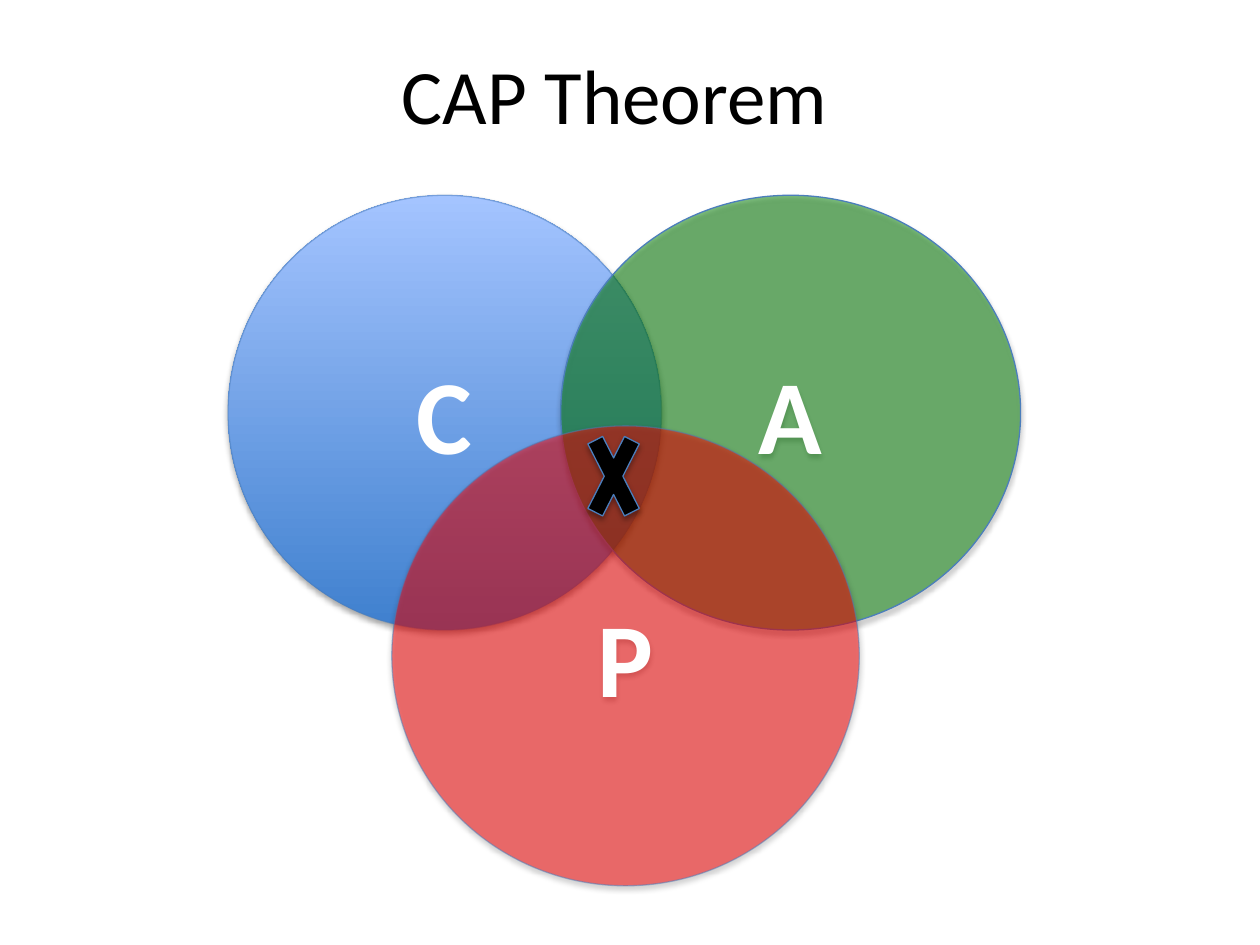
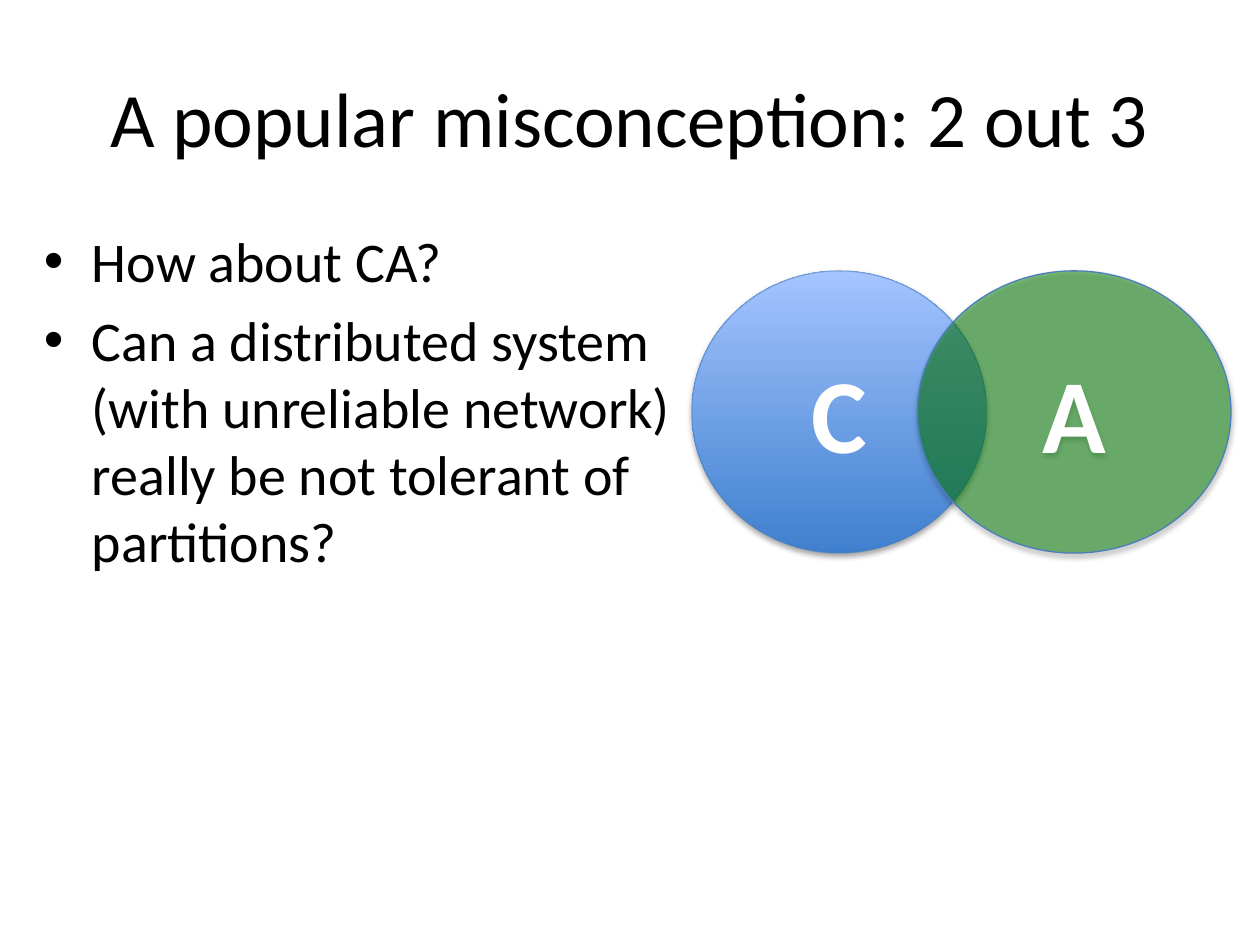
from lxml.etree import SubElement
from pptx import Presentation
from pptx.dml.color import RGBColor
from pptx.enum.shapes import MSO_SHAPE
from pptx.enum.text import MSO_ANCHOR, PP_ALIGN
from pptx.oxml.ns import qn
from pptx.util import Inches, Pt

FONT = "Calibri"
BLACK, WHITE, EDGE = "000000", "FFFFFF", "4B7EBC"
BLUES = ("3F80CE", "A4C4FF")

KINDS = {
    "C": {"fill": BLUES, "edge": 50},
    "A": {"fill": "008000", "alpha": 50},
    "P": {"fill": "FF0000", "alpha": 50, "edge": 50},
}

SLIDES = [
    {
        "title": "CAP Theorem",
        "spot": (0.38, 0.12),
        "rings": {
            "C": (1.81, 1.55, 3.44, 3.45),
            "A": (4.45, 1.55, 3.65, 3.45),
            "P": (3.11, 3.38, 3.71, 3.65),
        },
        "cross": (4.59, 3.23, 0.56, 1.1),
    },
    {
        "title": "A popular misconception: 2 out 3",
        "spot": (0.5, 0.3),
        "points": [
            "How about CA?",
            "Can a distributed system (with unreliable network) "
            "really be not tolerant of partitions?",
        ],
        "rings": {
            "C": (5.49, 2.15, 2.34, 2.24),
            "A": (7.28, 2.15, 2.49, 2.24),
        },
    },
]


def color(code):
    return RGBColor.from_string(code)


def place(box):
    return [Inches(n) for n in box]


def fade(node, share):
    tint = next(node.iter(qn("a:srgbClr")))
    SubElement(tint, qn("a:alpha"), val=str(share * 1000))


def style(para, size, code, bold=False):
    font = para.font
    font.name, font.size, font.bold = FONT, Pt(size), bold
    font.color.rgb = color(code)


def write(slide, box, lines, size):
    frame = slide.shapes.add_textbox(*place(box)).text_frame
    frame.word_wrap = True
    frame.text = "\n".join(lines)
    for para in frame.paragraphs:
        style(para, size, BLACK)
    return frame


def add_title(slide, text, spot):
    frame = write(slide, (*spot, 9, 1.25), [text], 44)
    frame.vertical_anchor = MSO_ANCHOR.MIDDLE
    frame.paragraphs[0].alignment = PP_ALIGN.CENTER


def add_points(slide, lines):
    frame = write(slide, (0.25, 1.75, 6.01, 4.95), lines, 32)
    for para in frame.paragraphs:
        para.space_before = Pt(6.4)
        props = para._p.get_or_add_pPr()
        props.set("marL", str(Inches(0.38)))
        props.set("indent", str(-Inches(0.38)))
        bullet = props.makeelement(qn("a:buFont"), {"typeface": "Arial"})
        spacing = props.find(qn("a:spcBef"))
        spacing.addnext(bullet)
        bullet.addnext(props.makeelement(qn("a:buChar"), {"char": "•"}))


def add_shade(shape):
    shape.shadow.inherit = False
    effects = shape._element.spPr.find(qn("a:effectLst"))
    shade = SubElement(effects, qn("a:outerShdw"), blurRad=str(Pt(3.1)),
                       dist=str(Pt(1.8)), dir="5400000", rotWithShape="0")
    SubElement(shade, qn("a:srgbClr"), val=BLACK)
    fade(shade, 35)


def add_form(slide, kind, box, fill, alpha=None, edge=None):
    shape = slide.shapes.add_shape(kind, *place(box))
    props = shape._element.spPr
    if isinstance(fill, tuple):
        shape.fill.gradient()
        shape.fill.gradient_angle = 90
        for stop, code in zip(shape.fill.gradient_stops, fill):
            stop.color.rgb = color(code)
    else:
        shape.fill.solid()
        shape.fill.fore_color.rgb = color(fill)
        if alpha:
            fade(props.find(qn("a:solidFill")), alpha)
    shape.line.color.rgb = color(EDGE)
    shape.line.width = Pt(0.75)
    if edge:
        fade(props.find(qn("a:ln")), edge)
    add_shade(shape)
    return shape


def add_ring(slide, name, box):
    frame = add_form(slide, MSO_SHAPE.OVAL, box, **KINDS[name]).text_frame
    frame.text = name
    frame.vertical_anchor = MSO_ANCHOR.MIDDLE
    para = frame.paragraphs[0]
    para.alignment = PP_ALIGN.CENTER
    style(para, 60, WHITE, True)


def main():
    deck = Presentation()
    deck.slide_width, deck.slide_height = Inches(10), Inches(7.5)
    for page in SLIDES:
        slide = deck.slides.add_slide(deck.slide_layouts[6])
        add_title(slide, page["title"], page["spot"])
        if "points" in page:
            add_points(slide, page["points"])
        for name, box in page["rings"].items():
            add_ring(slide, name, box)
        if "cross" in page:
            add_form(slide, MSO_SHAPE.MATH_MULTIPLY, page["cross"], BLACK)
    deck.save("out.pptx")


if __name__ == "__main__":
    main()
